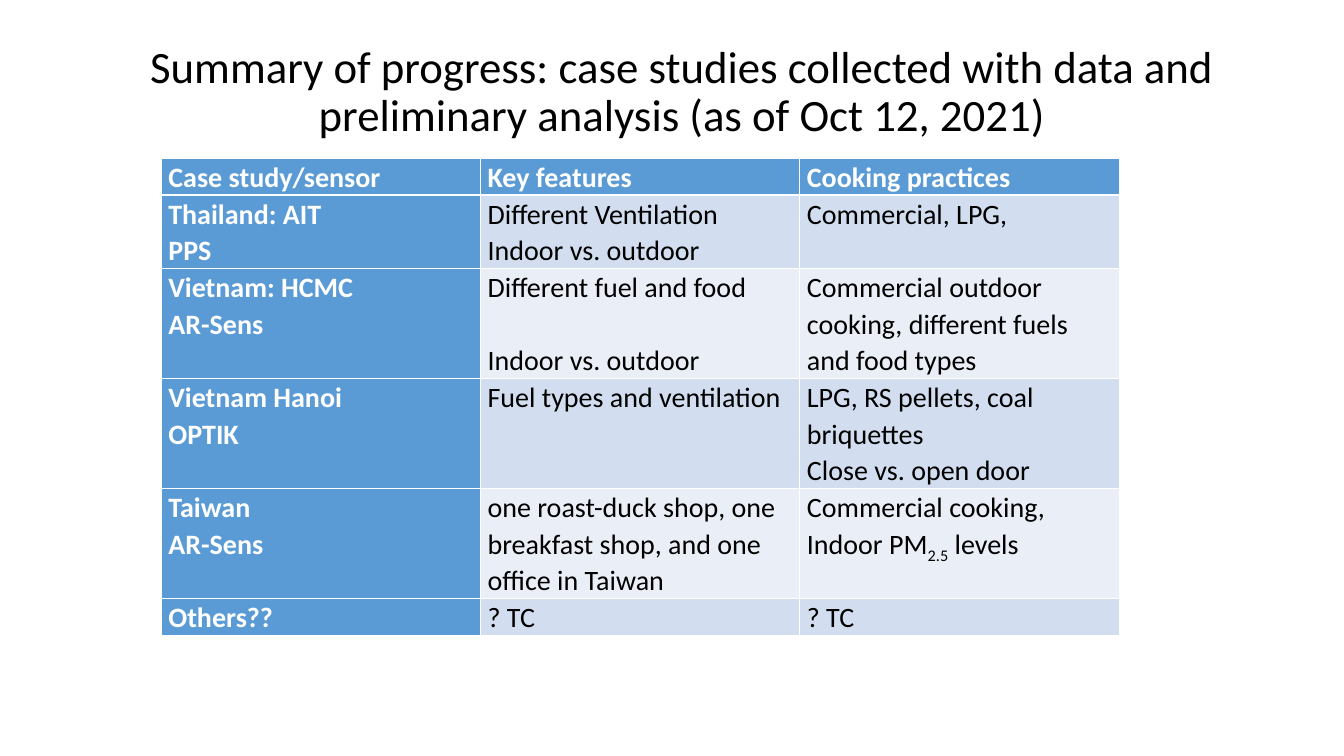
from pptx import Presentation
from pptx.dml.color import RGBColor as Color
from pptx.enum.text import MSO_ANCHOR as Anchor, MSO_AUTO_SIZE as AutoSize, PP_ALIGN as Align
from pptx.util import Inches, Pt

TITLE = "Summary of progress: case studies collected with data and preliminary analysis (as of Oct 12, 2021)"
HEADER = [["Case study/sensor"], ["Key features"], ["Cooking practices"]]
SUBSCRIPT = "2.5"
SPACED = "Indoor vs. outdoor"
CASES = [
    (2, [["Thailand: AIT", "PPS"], ["Different Ventilation Indoor vs. outdoor"], ["Commercial, LPG,"]]),
    (3, [["Vietnam: HCMC", "AR-Sens"], ["Different fuel and food", SPACED],
         ["Commercial outdoor cooking, different fuels and food types"]]),
    (3, [["Vietnam Hanoi", "OPTIK"], ["Fuel types and ventilation"],
         ["LPG, RS pellets, coal briquettes", "Close vs. open door"]]),
    (3, [["Taiwan", "AR-Sens"], ["one roast-duck shop, one breakfast shop, and one office in Taiwan"],
         ["Commercial cooking,", ("Indoor PM", SUBSCRIPT, " levels")]]),
    (1, [["Others??"], ["? TC"], ["? TC"]]),
]
ROWS = [(1, HEADER)] + CASES

THEME = {
    "font": "Calibri", "title_size": Pt(32), "body_size": Pt(20), "blank_line": Pt(26),
    "text": Color.from_string("000000"), "light": Color.from_string("FFFFFF"),
    "accent": Color.from_string("5B9BD5"),
    "bands": [Color.from_string("EAEFF7"), Color.from_string("D2DEEF")],
}
TITLE_BOX = (0.92, 0.4, 11.69, 1.04)
TABLE_LEFT, TABLE_TOP, TABLE_WIDTH, LINE_HEIGHT = 1.6, 1.57, 9.5, 0.33


def apply(target, values):
    for name, value in values.items():
        setattr(target, name, value)


def add_span(para, text, size, color, bold=False):
    span = para.add_run()
    span.text = text
    apply(span.font, {"name": THEME["font"], "size": size, "bold": bold})
    span.font.color.rgb = color
    return span


def fill_cell(cell, paragraphs, fill, color, bold):
    apply(cell, {"margin_left": Inches(0.07), "margin_right": Inches(0.07),
                 "margin_top": 0, "margin_bottom": 0})
    cell.fill.solid()
    cell.fill.fore_color.rgb = fill
    frame = cell.text_frame
    for index, content in enumerate(paragraphs):
        para = frame.add_paragraph() if index else frame.paragraphs[0]
        para.line_spacing = 1.07
        if content == SPACED:
            para.space_before = THEME["blank_line"]
        for text in content if isinstance(content, tuple) else (content,):
            span = add_span(para, text, THEME["body_size"], color, bold)
            if text == SUBSCRIPT:
                span.font._element.set("baseline", "-25000")


deck = Presentation()
apply(deck, {"slide_width": Inches(13.33), "slide_height": Inches(7.5)})
page = deck.slides.add_slide(deck.slide_layouts[5])

title = page.shapes.title
apply(title, dict(zip(("left", "top", "width", "height"), map(Inches, TITLE_BOX))))
apply(title.text_frame, {"word_wrap": True, "auto_size": AutoSize.NONE,
                         "vertical_anchor": Anchor.MIDDLE})
heading = title.text_frame.paragraphs[0]
apply(heading, {"alignment": Align.CENTER, "line_spacing": 0.9})
add_span(heading, TITLE, THEME["title_size"], THEME["text"])

line_total = sum(lines for lines, _ in ROWS)
table = page.shapes.add_table(
    len(ROWS), len(HEADER), Inches(TABLE_LEFT), Inches(TABLE_TOP),
    Inches(TABLE_WIDTH), Inches(LINE_HEIGHT * line_total)).table
table.first_col = True
for row, (lines, cells) in enumerate(ROWS):
    table.rows[row].height = Inches(LINE_HEIGHT * lines)
    for column, paragraphs in enumerate(cells):
        strong = row == 0 or column == 0
        fill = THEME["accent"] if strong else THEME["bands"][row % 2]
        color = THEME["light"] if strong else THEME["text"]
        fill_cell(table.cell(row, column), paragraphs, fill, color, strong)

deck.save("out.pptx")
